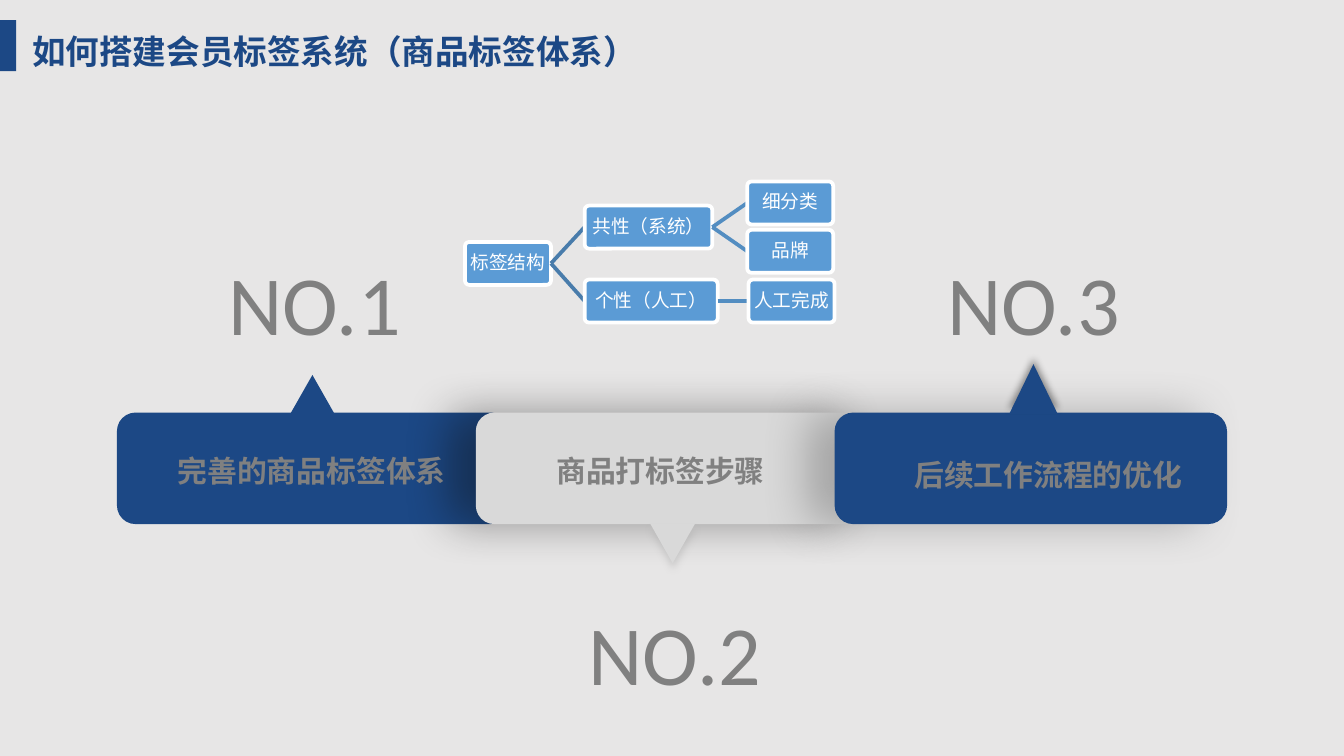
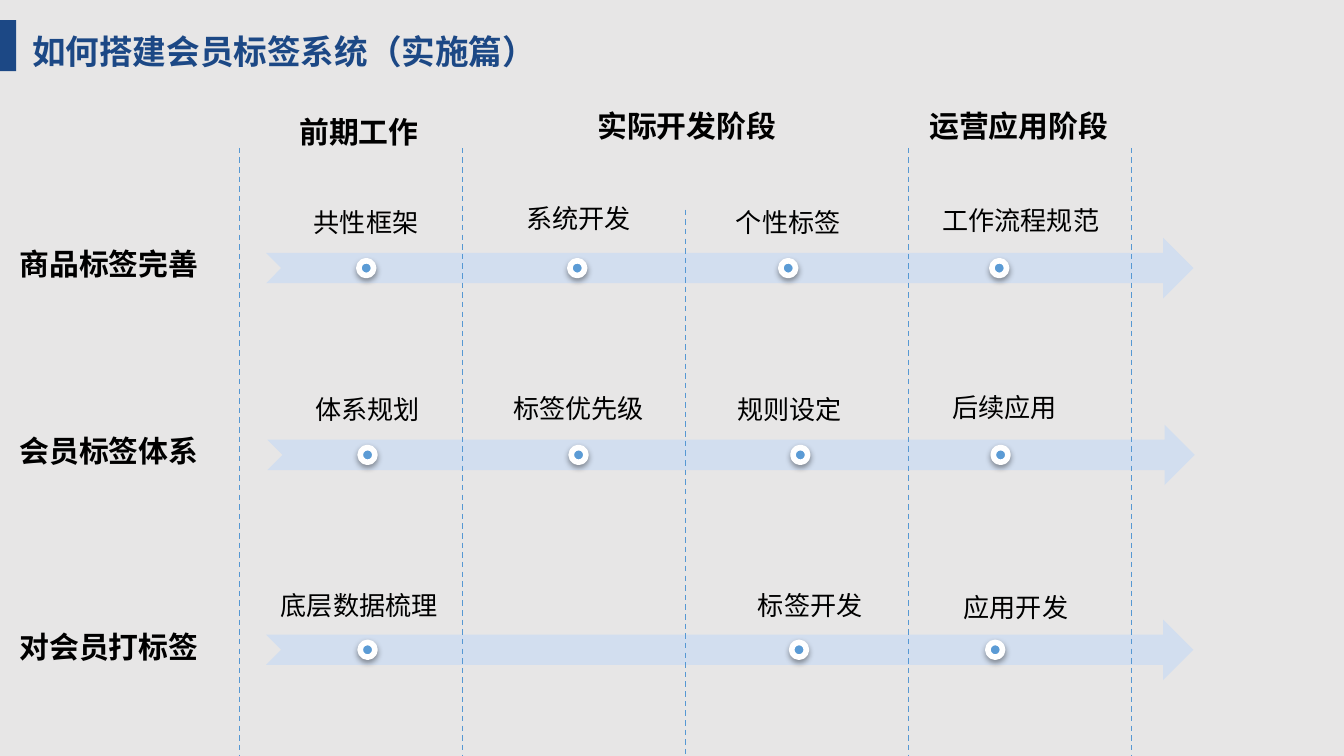
"""Builds two slides on setting up a member tagging system."""
from lxml import etree
from pptx import Presentation
from pptx.dml.color import RGBColor
from pptx.enum.dml import MSO_LINE
from pptx.enum.shapes import MSO_CONNECTOR, MSO_SHAPE
from pptx.enum.text import MSO_ANCHOR, MSO_AUTO_SIZE, PP_ALIGN
from pptx.oxml.ns import qn
from pptx.util import Inches, Pt

RECTANGLE, ROUNDED = MSO_SHAPE.RECTANGLE, MSO_SHAPE.ROUNDED_RECTANGLE
TRIANGLE, OVAL = MSO_SHAPE.ISOSCELES_TRIANGLE, MSO_SHAPE.OVAL
ARROW = MSO_SHAPE.NOTCHED_RIGHT_ARROW
STRAIGHT, DASH = MSO_CONNECTOR.STRAIGHT, MSO_LINE.DASH
LEFT, CENTER = PP_ALIGN.LEFT, PP_ALIGN.CENTER
TOP, MIDDLE, BOTTOM = MSO_ANCHOR.TOP, MSO_ANCHOR.MIDDLE, MSO_ANCHOR.BOTTOM
FIT_SHAPE = MSO_AUTO_SIZE.SHAPE_TO_FIT_TEXT

SLIDE_WIDTH = Inches(10)
SLIDE_HEIGHT = SLIDE_WIDTH * 9 // 16

CALIBRI, NOTO = "Calibri", "Noto Sans CJK SC"
NAVY, BACKGROUND, SILVER, GRAY = "1C4885", "E7E6E6", "D9D9D9", "808080"
BLUE, PALE_BLUE, DASH_BLUE = "5B9BD5", "D2DEEF", "5698D3"
BLACK, WHITE = "000000", "FFFFFF"
LINK_COLORS = {1: "497CAB", 2: "538DC1"}
DOT_SHADOW = (BLACK, 38, 3.1, 1.6, 90)

PRODUCT_TITLE = ("如何搭建会员标签系统（商品标签体系）", 5.03)
PLAN_TITLE = ("如何搭建会员标签系统（实施篇）", 5.3)

NUMBERS = [("NO.1", 1.6, 1.82), ("NO.2", 4.28, 4.43), ("NO.3", 6.95, 1.82)]
CARD_LEFT, CARD_STEP = 0.87, 2.67
CARDS = [
    (NAVY, None),
    (SILVER, ("0D0D0D", 40, 24, 15, 180)),
    (NAVY, ("595959", 40, 24, 15, 180)),
]
POINTERS = [
    (2.16, 2.79, 0.33, 0.29, NAVY, None, False),
    (7.51, 2.71, 0.36, 0.37, NAVY, (BLACK, 40, 4, 3, 270), False),
    (4.84, 3.9, 0.33, 0.29, SILVER, ("A6A6A6", 40, 4, 3, 90), True),
]
CARD_LABELS = [
    ("商品打标签步骤", 4.03, 3.32, 1.77),
    ("后续工作流程的优化", 6.69, 3.35, 2.22),
    ("完善的商品标签体系", 1.21, 3.32, 2.22),
]
NODE_HEIGHT = 0.32
TREE = {
    "标签结构": (3.46, 1.8, 0.64, None, 0),
    "共性（系统）": (4.35, 1.53, 0.95, "标签结构", 1),
    "细分类": (5.56, 1.35, 0.64, "共性（系统）", 2),
    "品牌": (5.56, 1.71, 0.64, "共性（系统）", 2),
    "个性（人工）": (4.35, 2.08, 0.99, "标签结构", 1),
    "人工完成": (5.57, 2.08, 0.64, "个性（人工）", 2),
}

STAGES = [("前期工作", 1.86, 0.8), ("实际开发阶段", 4.3, 0.75), ("运营应用阶段", 6.77, 0.75)]
DIVIDER_LEFT, DIVIDER_STEP = 1.78, 1.66
DIVIDER_TOPS = [1.1, 1.1, 1.56, 1.1, 1.1]
TRACKS = [
    ("商品标签完善", 1.78, 1.98, 1.77, 1.49, [
        ("共性框架", 1.98, 1.43, BOTTOM, CENTER, 2.67),
        ("系统开发", 3.56, 1.43, TOP, CENTER, 4.24),
        ("个性标签", 5.12, 1.43, BOTTOM, CENTER, 5.81),
        ("工作流程规范", 6.85, 1.44, TOP, CENTER, 7.38),
    ]),
    ("会员标签体系", 3.17, 1.99, 3.16, 1.49, [
        ("体系规划", 1.99, 2.82, BOTTOM, CENTER, 2.68),
        ("标签优先级", 3.56, 2.84, TOP, CENTER, 4.25),
        ("规则设定", 5.13, 2.82, BOTTOM, CENTER, 5.9),
        ("后续应用", 6.73, 2.83, TOP, CENTER, 7.39),
    ]),
    ("对会员打标签", 4.63, 1.98, 4.61, 2, [
        ("底层数据梳理", 1.98, 4.28, BOTTOM, LEFT, 2.68),
        ("标签开发", 5.03, 4.31, TOP, CENTER, 5.89),
        ("应用开发", 6.56, 4.29, BOTTOM, CENTER, 7.35),
    ]),
]


def color(value):
    return RGBColor.from_string(value)


def set_shadow(shape, shadow):
    shape.shadow.inherit = False
    if shadow is None:
        return
    tint, alpha, blur, distance, angle = shadow
    effects = shape._element.spPr.find(qn("a:effectLst"))
    outer = etree.SubElement(
        effects, qn("a:outerShdw"), blurRad=str(Pt(blur)), dist=str(Pt(distance)),
        dir=str(angle * 60000), algn="ctr", rotWithShape="0")
    tint_element = etree.SubElement(outer, qn("a:srgbClr"), val=tint)
    etree.SubElement(tint_element, qn("a:alpha"), val=str(alpha * 1000))


def add_block(slide, kind, box, fill, line=None, shadow=None):
    shape = slide.shapes.add_shape(kind, *map(Inches, box))
    shape.fill.solid()
    shape.fill.fore_color.rgb = color(fill)
    if line:
        shape.line.color.rgb = color(line[0])
        shape.line.width = Pt(line[1])
    else:
        shape.line.fill.background()
    set_shadow(shape, shadow)
    return shape


def write(shape, text, size, tint, font=NOTO, bold=False, align=LEFT,
          anchor=TOP, inset=None, spacing=None, wrap=True):
    frame = shape.text_frame
    frame.word_wrap = wrap
    frame.vertical_anchor = anchor
    if inset is not None:
        frame.margin_left = frame.margin_right = Inches(inset)
        frame.margin_top = frame.margin_bottom = Inches(inset)
    paragraph = frame.paragraphs[0]
    paragraph.alignment = align
    if spacing:
        paragraph.line_spacing = spacing
    run = paragraph.add_run()
    run.text = text
    run.font.size = Pt(size)
    run.font.bold = bold
    run.font.name = font
    run.font.color.rgb = color(tint)
    etree.SubElement(run._r.get_or_add_rPr(), qn("a:ea"), typeface=NOTO)


def add_text(slide, box, text, size, tint, grow=True, **style):
    shape = slide.shapes.add_textbox(*map(Inches, box))
    write(shape, text, size, tint, **style)
    if grow:
        shape.text_frame.auto_size = FIT_SHAPE


def add_heading(slide, text, left, top):
    add_text(slide, (left, top, 1.62, 0.37), text, 16, BLACK, bold=True, align=CENTER)


def add_line(slide, start, end, tint, width, dash=None):
    line = slide.shapes.add_connector(STRAIGHT, *map(Inches, start + end))
    line.line.color.rgb = color(tint)
    line.line.width = Pt(width)
    if dash:
        line.line.dash_style = dash
    etree.SubElement(line._element.spPr, qn("a:effectLst"))


def add_titled_slide(presentation, title, title_width):
    slide = presentation.slides.add_slide(presentation.slide_layouts[6])
    slide.background.fill.solid()
    slide.background.fill.fore_color.rgb = color(BACKGROUND)
    add_block(slide, RECTANGLE, (0, 0.15, 0.12, 0.38), NAVY)
    add_text(slide, (0.14, 0.18, title_width, 0.4), title, 18, NAVY, bold=True)
    return slide


def add_tree(slide):
    for text, (left, top, width, parent, level) in TREE.items():
        if parent:
            parent_left, parent_top, parent_width = TREE[parent][:3]
            start = (parent_left + parent_width, parent_top + NODE_HEIGHT / 2)
            add_line(slide, start, (left, top + NODE_HEIGHT / 2), LINK_COLORS[level], 2)
        node = add_block(slide, ROUNDED, (left, top, width, NODE_HEIGHT), BLUE, (WHITE, 2))
        node.adjustments[0] = 0.1
        write(node, text, 10, WHITE, font=CALIBRI, align=CENTER, anchor=MIDDLE,
              inset=0.01, spacing=0.9)


def build_product_slide(presentation):
    slide = add_titled_slide(presentation, *PRODUCT_TITLE)
    for text, left, top in NUMBERS:
        add_text(slide, (left, top, 1.5, 0.86), text, 45, GRAY, font=CALIBRI, wrap=False)
    for index, (fill, shadow) in enumerate(CARDS):
        box = (CARD_LEFT + index * CARD_STEP, 3.07, 2.92, 0.83)
        add_block(slide, ROUNDED, box, fill, shadow=shadow)
    for left, top, width, height, fill, shadow, flipped in POINTERS:
        pointer = add_block(slide, TRIANGLE, (left, top, width, height), fill, shadow=shadow)
        if flipped:
            pointer._element.spPr.find(qn("a:xfrm")).set("flipV", "1")
    for text, left, top, width in CARD_LABELS:
        add_text(slide, (left, top, width, 0.37), text, 16, GRAY, bold=True,
                 align=CENTER, wrap=False)
    add_tree(slide)


def build_plan_slide(presentation):
    slide = add_titled_slide(presentation, *PLAN_TITLE)
    for name, name_top, left, top, label_width, steps in TRACKS:
        add_heading(slide, name, 0, name_top)
        add_block(slide, ARROW, (left, top, 6.9, 0.45), PALE_BLUE)
        for text, label_left, label_top, anchor, align, dot_left in steps:
            add_text(slide, (label_left, label_top, label_width, 0.45), text, 14, BLACK,
                     grow=False, font=CALIBRI, align=align, anchor=anchor,
                     inset=0.11, spacing=0.9)
            add_block(slide, OVAL, (dot_left, top + 0.17, 0.11, 0.11), BLUE,
                      (WHITE, 3), DOT_SHADOW)
    for index, top in enumerate(DIVIDER_TOPS):
        left = DIVIDER_LEFT + index * DIVIDER_STEP
        add_line(slide, (left, top), (left, 5.62), DASH_BLUE, 0.75, DASH)
    for text, left, top in STAGES:
        add_heading(slide, text, left, top)


def main():
    presentation = Presentation()
    presentation.slide_width, presentation.slide_height = SLIDE_WIDTH, SLIDE_HEIGHT
    build_product_slide(presentation)
    build_plan_slide(presentation)
    presentation.save("out.pptx")


if __name__ == "__main__":
    main()
